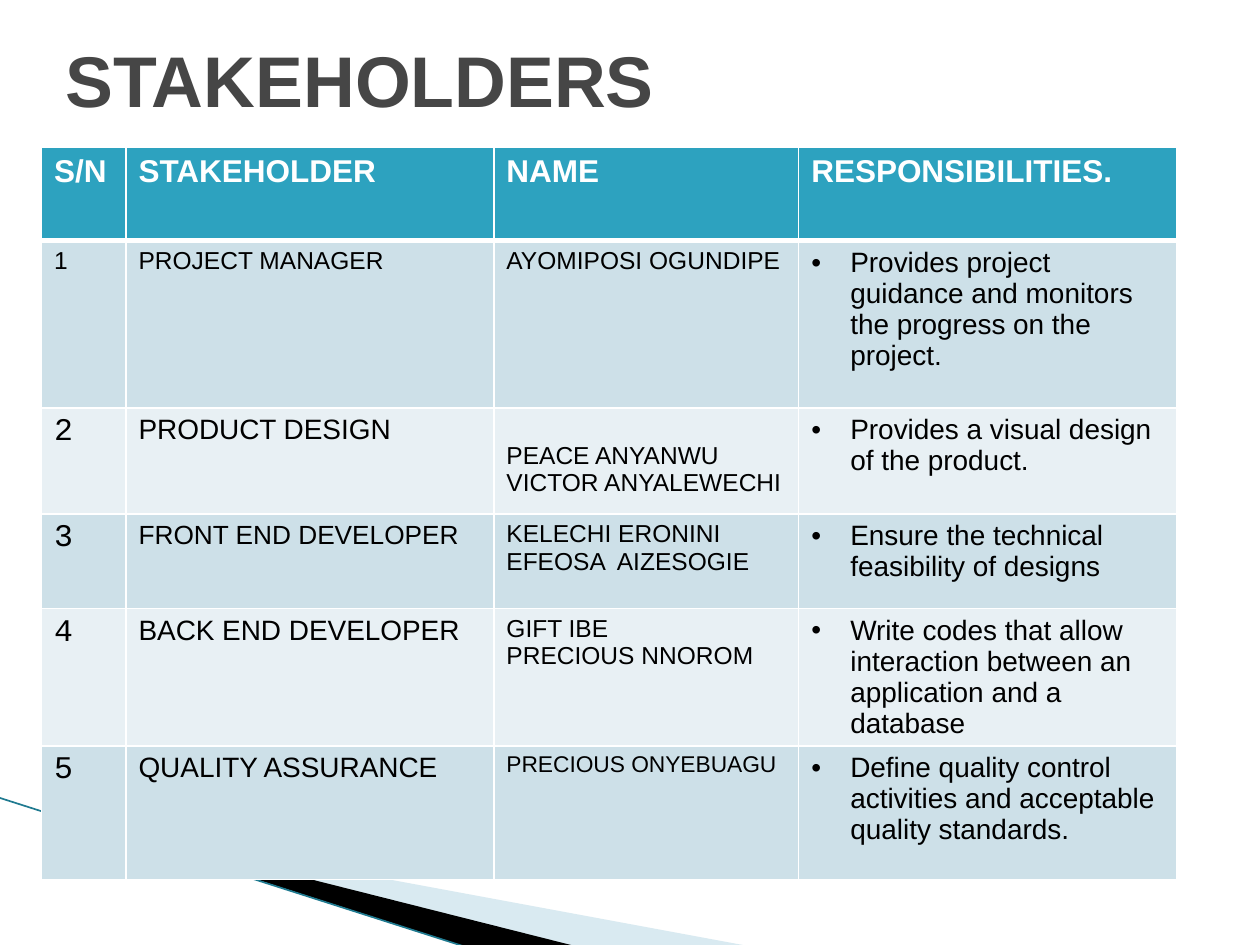
from lxml import etree
from pptx import Presentation
from pptx.dml.color import RGBColor
from pptx.enum.shapes import MSO_CONNECTOR
from pptx.enum.text import MSO_ANCHOR, PP_ALIGN
from pptx.oxml.ns import qn
from pptx.util import Inches, Pt

TITLE = "STAKEHOLDERS"
HEADS = ["S/N", "STAKEHOLDER", "NAME", "RESPONSIBILITIES."]
# role, role size, names, name size, duty
ROLES = [
    ("PROJECT MANAGER", 14, ["AYOMIPOSI OGUNDIPE"], 14,
     "Provides project guidance and monitors the progress on the project."),
    ("PRODUCT DESIGN", 16, ["PEACE ANYANWU", "VICTOR ANYALEWECHI"], 14,
     "Provides a visual design of the product."),
    ("FRONT END DEVELOPER", 15, ["KELECHI ERONINI", "EFEOSA  AIZESOGIE"], 14,
     "Ensure the technical feasibility of designs"),
    ("BACK END DEVELOPER", 16, ["GIFT IBE", "PRECIOUS NNOROM"], 14,
     "Write codes that allow interaction between an application and a database"),
    ("QUALITY ASSURANCE", 16, ["PRECIOUS ONYEBUAGU"], 13,
     "Define quality control activities and acceptable quality standards."),
]
COLS = [0.67, 2.92, 2.42, 3]
ROWS = [0.74, 1.33, 0.84, 0.75, 1.09, 1.06]
LEFT, TOP = 0.33, 1.17
LOW_ROW, LOW_TOP = 2, 0.27  # names in this row start one line lower

THEME = {
    "font": "Arial", "mono": "Courier New",
    "title": 41, "head": 18, "first": 14, "num": 18, "duty": 16,
    "ink": "000000", "gray": "464646", "white": "FFFFFF",
    "teal": "2DA2BF", "bands": ["E8F0F4", "CDE0E8"],
    "pale": "A0CBDC", "edge": "1F7A90",
}
WEDGES = [
    ([(0.55, 6.51), (5.95, 7.51), (4.56, 7.51), (0.55, 6.5)], THEME["pale"], 40),
    ([(0.53, 6.49), (4.57, 7.51), (3.72, 7.52), (0.54, 6.5)], THEME["ink"], 100),
]


def rgb(key):
    """Turn a hex string into a colour."""
    return RGBColor.from_string(key)


def style(run, size, color=THEME["ink"], **more):
    """Set the font of a run."""
    form = {"name": THEME["font"], "size": Pt(size), "bold": False, **more}
    for key, val in form.items():
        setattr(run.font, key, val)
    run.font.color.rgb = rgb(color)


def wedge(slide, pts, color, alpha):
    """Draw one filled wedge of the corner motif."""
    pts = [(Inches(x), Inches(y)) for x, y in pts]
    pen = slide.shapes.build_freeform(*pts[0], scale=1.0)
    pen.add_line_segments(pts[1:], close=True)
    shape = pen.convert_to_shape()
    shape.shadow.inherit = False
    shape.fill.solid()
    shape.fill.fore_color.rgb = rgb(color)
    shape.line.fill.background()
    if alpha < 100:
        tone = next(shape.element.iter(qn("a:srgbClr")))
        etree.SubElement(tone, qn("a:alpha"), val=str(alpha * 1000))


def stripe(slide):
    """Draw the thin line along the wedges."""
    ends = [Inches(v) for v in (-0.01, 6.33, 3.71, 7.52)]
    line = slide.shapes.add_connector(MSO_CONNECTOR.STRAIGHT, *ends)
    line.line.color.rgb = rgb(THEME["edge"])
    line.line.width = Pt(0.95)
    props = line.element.find(qn("p:spPr"))
    etree.SubElement(props, qn("a:effectLst"))


def frame(cell, row):
    """Give a cell white borders, thick under the header."""
    props = cell._tc.get_or_add_tcPr()
    wide = {"L": 1, "R": 1, "T": 3 if row == 1 else 1, "B": 1 if row else 3}
    for side, width in wide.items():
        line = etree.SubElement(props, qn("a:ln" + side), w=str(Pt(width)))
        fill = etree.SubElement(line, qn("a:solidFill"))
        etree.SubElement(fill, qn("a:srgbClr"), val=THEME["white"])


def bullet(para):
    """Give a paragraph a hanging bullet."""
    props = para._p.get_or_add_pPr()
    props.set("marL", str(Inches(0.31)))
    props.set("indent", str(-Inches(0.31)))
    etree.SubElement(props, qn("a:buFont"), typeface=THEME["font"])
    etree.SubElement(props, qn("a:buChar"), char="•")


def write(cell, row, lines, fill, size, **form):
    """Fill one cell with lines of text."""
    frame(cell, row)
    cell.fill.solid()
    cell.fill.fore_color.rgb = rgb(fill)
    cell.text = "\n".join(lines)
    for para in cell.text_frame.paragraphs:
        style(para.runs[0], size, **form)


def grid(slide):
    """Build the table of stakeholders."""
    box = [Inches(v) for v in (LEFT, TOP, sum(COLS), sum(ROWS))]
    table = slide.shapes.add_table(len(ROWS), len(COLS), *box).table
    for col, width in zip(table.columns, COLS):
        col.width = Inches(width)
    for row, height in zip(table.rows, ROWS):
        row.height = Inches(height)
    for col, text in enumerate(HEADS):
        write(table.cell(0, col), 0, [text], THEME["teal"], THEME["head"],
              color=THEME["white"], bold=True)
    for row, (role, size, names, small, duty) in enumerate(ROLES, 1):
        num = THEME["first"] if row == 1 else THEME["num"]
        face = THEME["font"] if row == 1 else THEME["mono"]
        parts = [([str(row)], num, {"name": face}), ([role], size, {}),
                 (names, small, {}), ([duty], THEME["duty"], {})]
        for col, (lines, points, form) in enumerate(parts):
            write(table.cell(row, col), row, lines,
                  THEME["bands"][row % 2], points, **form)
        bullet(table.cell(row, 3).text_frame.paragraphs[0])
    table.cell(LOW_ROW, 2).margin_top = Inches(LOW_TOP)


def head(slide):
    """Place the title on top of the other parts."""
    title = slide.shapes.title
    place = {"left": 0.42, "top": 0, "width": 9, "height": 1.25}
    for key, val in place.items():
        setattr(title, key, Inches(val))
    title.text = TITLE
    title.text_frame.vertical_anchor = MSO_ANCHOR.MIDDLE
    para = title.text_frame.paragraphs[0]
    para.alignment = PP_ALIGN.LEFT
    style(para.runs[0], THEME["title"], THEME["gray"], bold=True)
    slide.shapes.element.append(title.element)


def main():
    """Build and save the slide."""
    deck = Presentation()
    deck.slide_width, deck.slide_height = Inches(10), Inches(7.5)
    slide = deck.slides.add_slide(deck.slide_layouts[5])
    for item in WEDGES:
        wedge(slide, *item)
    stripe(slide)
    grid(slide)
    head(slide)
    deck.save("out.pptx")


main()
